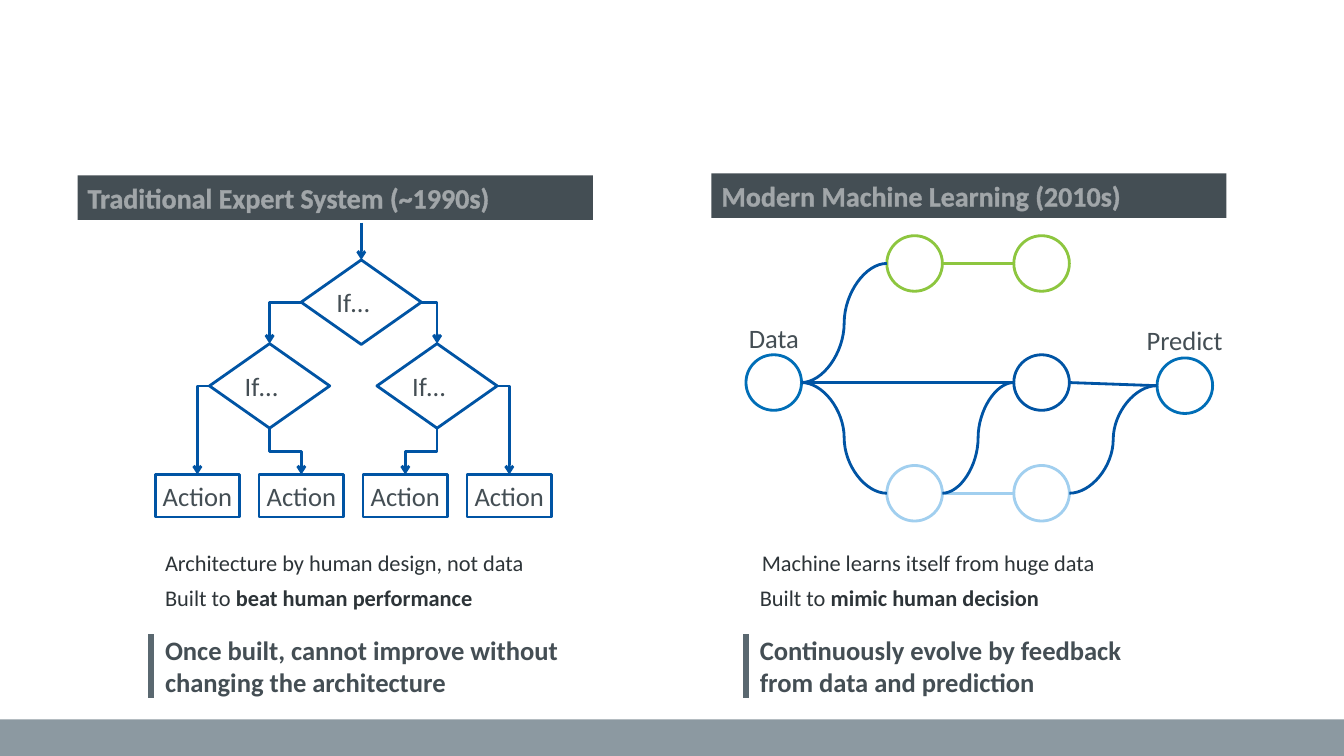
from dataclasses import dataclass

from lxml import etree
from pptx import Presentation
from pptx.dml.color import RGBColor
from pptx.enum import shapes, text
from pptx.oxml import ns
from pptx.util import Cm, Pt


@dataclass(frozen=True)
class Theme:
    font: str = "Calibri"
    label: int = 19
    heading: int = 20
    body: int = 16
    line: float = 2
    rule: float = 4.5
    white: str = "FFFFFF"
    glow: str = "F2F2F2"
    slate: str = "444E54"
    ink: str = "2D3438"
    bar: str = "5A6870"
    footer: str = "8C99A1"
    navy: str = "0054A4"
    blue: str = "006EB7"
    sky: str = "A1CFEF"
    green: str = "8DC63F"


THEME = Theme()
KIND = shapes.MSO_SHAPE
LINK = shapes.MSO_CONNECTOR
LEFT, CENTER = text.PP_ALIGN.LEFT, text.PP_ALIGN.CENTER


def rgb(value):
    return RGBColor.from_string(value)


def add_child(parent, tag, **attributes):
    return etree.SubElement(parent, ns.qn(tag), attributes)


# Shared building pieces, all lengths in centimetres
def add_shape(parts, kind, x, y, w, h, fill, line=None):
    shape = parts.add_shape(kind, Cm(x), Cm(y), Cm(w), Cm(h))
    shape.shadow.inherit = False
    shape.fill.solid()
    shape.fill.fore_color.rgb = rgb(fill)
    if line:
        shape.line.color.rgb = rgb(line)
        shape.line.width = Pt(THEME.line)
    else:
        shape.line.fill.background()
    return shape


def write(shape, spans, size, color, align=LEFT, side=0.25, middle=False, outline=None):
    """Fill a shape with one paragraph; spans are (words, bold) pairs."""
    frame = shape.text_frame
    frame.word_wrap = True
    frame.margin_left = frame.margin_right = Cm(side)
    frame.margin_top = frame.margin_bottom = Cm(0.13)
    frame.vertical_anchor = text.MSO_ANCHOR.MIDDLE if middle else text.MSO_ANCHOR.TOP
    para = frame.paragraphs[0]
    para.alignment = align
    for words, bold in spans:
        span = para.add_run()
        span.text = words
        span.font.name = THEME.font
        span.font.size = Pt(size)
        span.font.bold = bold
        span.font.color.rgb = rgb(color)
        if outline:
            edge = etree.Element(ns.qn("a:ln"), w=str(Pt(0.75)))
            tint = add_child(add_child(edge, "a:solidFill"), "a:srgbClr", val=outline)
            add_child(tint, "a:alpha", val="50000")
            span.font._element.insert(0, edge)


def add_text(parts, x, y, w, h, spans, size, color, **options):
    box = parts.add_textbox(Cm(x), Cm(y), Cm(w), Cm(h))
    write(box, spans, size, color, **options)


def add_link(parts, start, end, color, kind=LINK.STRAIGHT, width=THEME.line, arrow=False):
    link = parts.add_connector(kind, *(Cm(value) for value in (*start, *end)))
    link.line.color.rgb = rgb(color)
    link.line.width = Pt(width)
    if arrow:
        add_child(link.line._get_or_add_ln(), "a:tailEnd", type="arrow")
    add_child(link._element.spPr, "a:effectLst")
    return link


def add_corner(parts, start, end):
    """Arrow that runs sideways, then down."""
    link = add_link(parts, start, end, THEME.navy, LINK.ELBOW, arrow=True)
    link._element.spPr.find(ns.qn("a:prstGeom")).set("prst", "bentConnector2")


def add_step(parts, start, end):
    """Arrow that runs down, sideways, then down: a quarter-turned elbow."""
    (x1, y1), (x2, y2) = start, end
    mid_x, mid_y = (x1 + x2) / 2, (y1 + y2) / 2
    half_w, half_h = (y2 - y1) / 2, abs(x2 - x1) / 2
    turn = 90
    if x2 > x1:
        half_w, turn = -half_w, 270
    link = add_link(parts, (mid_x - half_w, mid_y - half_h),
                    (mid_x + half_w, mid_y + half_h), THEME.navy, LINK.ELBOW, arrow=True)
    link._element.spPr.find(ns.qn("a:xfrm")).set("rot", str(turn * 60000))


# Heading band over each half
def add_heading(page, x, y, title):
    band = add_shape(page.shapes, KIND.RECTANGLE, x, y, 12.98, 1.12, THEME.slate)
    write(band, [(title, True)], THEME.heading, THEME.white, outline=THEME.glow)


# Decision tree
def add_tree(page, x, y):
    parts = page.shapes.add_group_shape().shapes
    wide, tall = 3.03, 2.13
    action_w, action_h, action_y = 2.13, 1.07, y + 7.54
    tests = [(x + 5.63, y + 2.13), (x + 3.32, y + 4.24), (x + 7.54, y + 4.24)]
    actions = [x + 1.95 + 2.62 * i for i in range(4)]

    for left, top in tests:
        test = add_shape(parts, KIND.DIAMOND, left, top, wide, tall, THEME.white, THEME.navy)
        write(test, [("If…", False)], THEME.label, THEME.slate, side=0.13, middle=True)
    for left in actions:
        action = add_shape(parts, KIND.RECTANGLE, left, action_y, action_w, action_h,
                           THEME.white, THEME.navy)
        write(action, [("Action", False)], THEME.label, THEME.slate, CENTER, 0.13, True)

    root_x, root_y = tests[0]
    root_mid = root_x + wide / 2
    add_link(parts, (root_mid, y + 1.19), (root_mid, root_y), THEME.navy, arrow=True)
    targets = [(left + action_w / 2, action_y) for left in actions]
    for side, (left, top) in enumerate(tests[1:]):
        peak, middle = (left + wide / 2, top), top + tall / 2
        outer, inner = (targets[0], targets[1]) if side == 0 else (targets[3], targets[2])
        add_corner(parts, (root_x + side * wide, root_y + tall / 2), peak)
        add_corner(parts, (left + side * wide, middle), outer)
        add_step(parts, (peak[0], top + tall), inner)


# Network of nodes
def add_network(page, x, y):
    parts = page.shapes.add_group_shape().shapes
    size = 1.4
    nodes = {
        "data": (0.87, 4.57, THEME.blue),
        "top first": (4.42, 1.57, THEME.green),
        "top second": (7.62, 1.57, THEME.green),
        "middle": (7.62, 4.57, THEME.navy),
        "low first": (4.42, 7.36, THEME.sky),
        "low second": (7.62, 7.36, THEME.sky),
        "predict": (11.23, 4.65, THEME.blue),
    }
    links = [
        ("data", "top first", THEME.navy, LINK.CURVE),
        ("data", "low first", THEME.navy, LINK.CURVE),
        ("data", "middle", THEME.navy, LINK.STRAIGHT),
        ("low first", "low second", THEME.sky, LINK.STRAIGHT),
        ("low first", "middle", THEME.navy, LINK.CURVE),
        ("top first", "top second", THEME.green, LINK.STRAIGHT),
        ("middle", "predict", THEME.navy, LINK.STRAIGHT),
        ("low second", "predict", THEME.navy, LINK.CURVE),
    ]
    for left, top, color in nodes.values():
        add_shape(parts, KIND.OVAL, x + left, y + top, size, size, THEME.white, color)
    for source, target, color, kind in links:
        (x1, y1, _), (x2, y2, _) = nodes[source], nodes[target]
        add_link(parts, (x + x1 + size, y + y1 + size / 2), (x + x2, y + y2 + size / 2),
                 color, kind)
    for words, left, top, width in (("Data", 0.51, 3.61, 2.13), ("Predict", 10.44, 3.66, 2.97)):
        add_text(parts, x + left, y + top, width, 1.07, [(words, False)], THEME.label,
                 THEME.slate, align=CENTER, side=0.13, middle=True)


# Two remarks and a marked takeaway
def add_remarks(page, x, y, origin, goal, takeaway, shift=0):
    rows = [
        (shift, 0, 0.94, [(origin, False)], THEME.body, THEME.ink),
        (0, 0.86, 0.94, [("Built to ", False), (goal, True)], THEME.body, THEME.ink),
        (0, 2.13, 1.88, [(takeaway, True)], THEME.label, THEME.slate),
    ]
    for indent, drop, height, spans, size, color in rows:
        add_text(page.shapes, x + 0.1 + indent, y + drop, 10.97, height, spans, size, color,
                 outline=color)
    add_link(page.shapes, (x, y + 2.26), (x, y + 3.88), THEME.bar, width=THEME.rule)


def main():
    deck = Presentation()
    deck.slide_width, deck.slide_height = Cm(33.87), Cm(19.05)
    page = deck.slides.add_slide(deck.slide_layouts[6])

    # Footer band
    add_shape(page.shapes, KIND.RECTANGLE, 0, 18.13, 33.87, 0.92, THEME.footer)

    # Left half
    add_tree(page, 1.96, 4.42)
    add_heading(page, 1.96, 4.42, "Traditional Expert System (~1990s)")
    add_remarks(page, 3.81, 13.72, "Architecture by human design, not data",
                "beat human performance",
                "Once built, cannot improve without changing the architecture")

    # Right half
    add_network(page, 17.93, 4.37)
    add_heading(page, 17.93, 4.37, "Modern Machine Learning (2010s)")
    add_remarks(page, 18.8, 13.72, "Machine learns itself from huge data",
                "mimic human decision",
                "Continuously evolve by feedback from data and prediction", shift=0.05)

    deck.save("out.pptx")


if __name__ == "__main__":
    main()
